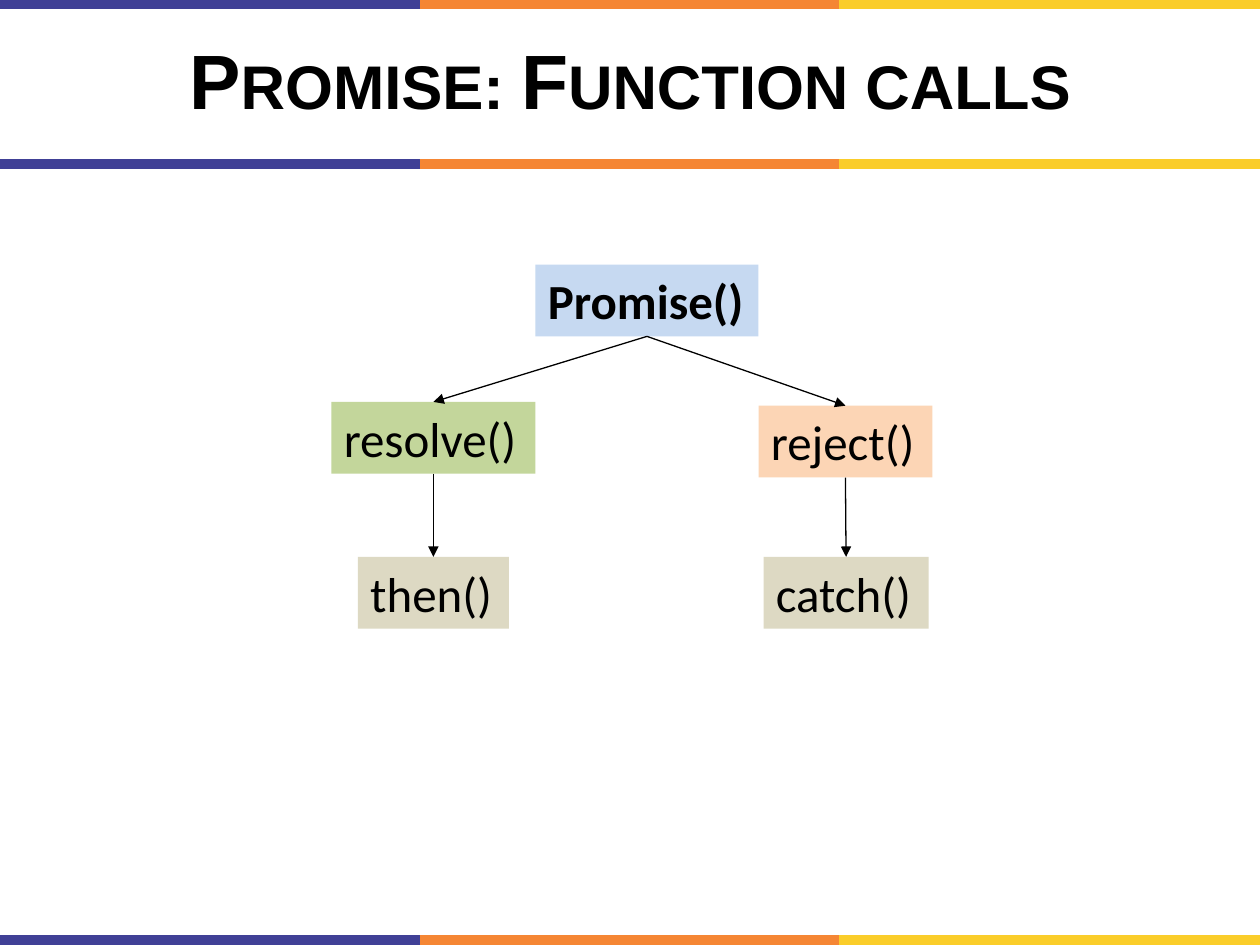
from lxml.etree import SubElement
from pptx import Presentation
from pptx.dml.color import RGBColor
from pptx.enum.shapes import MSO_CONNECTOR
from pptx.enum.text import MSO_ANCHOR, MSO_AUTO_SIZE, PP_ALIGN
from pptx.oxml.ns import qn
from pptx.util import Inches, Pt

COLORS = {
    "indigo": "404096", "orange": "F58634", "yellow": "FACD2A",
    "black": "000000", "blue": "C6D9F1", "green": "C3D69B",
    "peach": "FCD5B5", "tan": "DDD9C3",
}

prs = Presentation()
prs.slide_width, prs.slide_height = Inches(10), Inches(7.5)
s = prs.slides.add_slide(prs.slide_layouts[6])


def add_text(text, x, y, w, h, size=28, font="Calibri", bold=False, fill=None,
             align=PP_ALIGN.LEFT, anchor=MSO_ANCHOR.TOP, wrap=False,
             auto_size=MSO_AUTO_SIZE.SHAPE_TO_FIT_TEXT, small_caps=False):
    sp = s.shapes.add_textbox(Inches(x), Inches(y), Inches(w), Inches(h))
    if fill:
        sp.fill.solid()
        sp.fill.fore_color.rgb = RGBColor.from_string(COLORS[fill])
    tf = sp.text_frame
    tf.word_wrap, tf.auto_size, tf.vertical_anchor = wrap, auto_size, anchor
    p = tf.paragraphs[0]
    p.alignment = align
    r = p.add_run()
    r.text = text
    r.font.size, r.font.name, r.font.bold = Pt(size), font, bold
    r.font.color.rgb = RGBColor.from_string(COLORS["black"])
    if small_caps:
        r.font._element.set("cap", "small")
    return sp


def add_line(x1, y1, x2, y2, color, width):
    line = s.shapes.add_connector(MSO_CONNECTOR.STRAIGHT, Inches(x1), Inches(y1),
                                  Inches(x2), Inches(y2))
    line.line.color.rgb = RGBColor.from_string(COLORS[color])
    line.line.width = Pt(width)
    SubElement(line._element.spPr, qn("a:effectLst"))
    return line


# Three-colour bands at the top, under the title and at the bottom
stops = [0, 3.33, 6.66, 10]
for y in (0.03, 1.3, 7.46):
    for x1, x2, color in zip(stops, stops[1:], ("indigo", "orange", "yellow")):
        add_line(x1, y, x2, y, color, 6)

# Title
add_text("Promise: Function calls", 0, 0, 10, 1.25, size=44, font="Arial",
         bold=True, align=PP_ALIGN.CENTER, anchor=MSO_ANCHOR.MIDDLE, wrap=True,
         auto_size=MSO_AUTO_SIZE.NONE, small_caps=True)

# Call boxes: text, left, top, width, fill
calls = [
    ("Promise()", 4.25, 2.1, 1.77, "blue"),
    ("resolve()", 2.63, 3.19, 1.62, "green"),
    ("reject()", 6.02, 3.22, 1.38, "peach"),
    ("then()", 2.84, 4.42, 1.2, "tan"),
    ("catch()", 6.06, 4.42, 1.31, "tan"),
]
boxes = {}
for text, x, y, w, fill in calls:
    boxes[text] = add_text(text, x, y, w, 0.57, fill=fill, bold=text == "Promise()")

# Arrows from the bottom of each caller to the top of the next call
for start, end in [("Promise()", "resolve()"), ("Promise()", "reject()"),
                   ("resolve()", "then()"), ("reject()", "catch()")]:
    arrow = add_line(0, 0, 1, 1, "black", 0.75)
    arrow.begin_connect(boxes[start], 2)
    arrow.end_connect(boxes[end], 0)
    SubElement(arrow.line._get_or_add_ln(), qn("a:tailEnd"), type="triangle")

prs.save("out.pptx")
